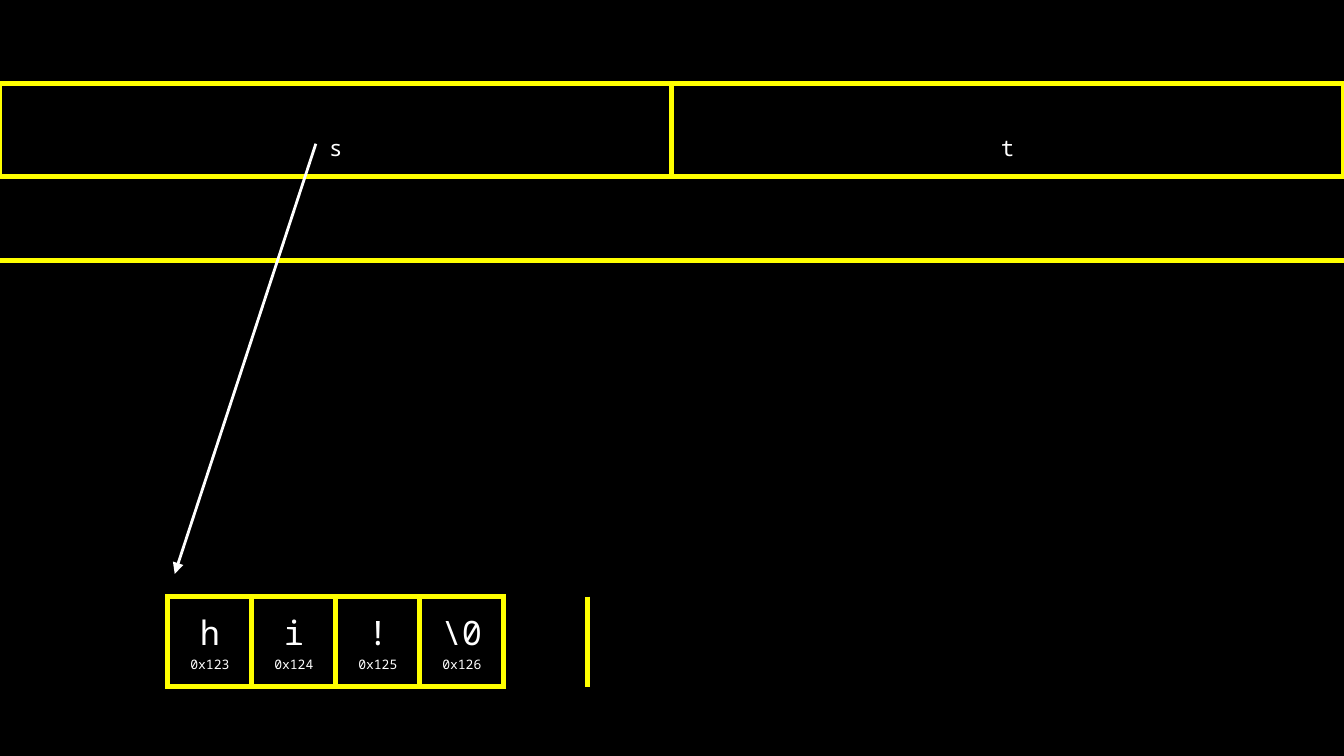
import collections

import lxml.etree
import pptx
import pptx.dml.color
import pptx.enum.shapes
import pptx.enum.text
import pptx.oxml.ns
import pptx.util

Inches, Pt = pptx.util.Inches, pptx.util.Pt
qn = pptx.oxml.ns.qn

COLORS = {"background": "000000", "frame": "FFFF00", "ink": "FFFFFF"}
FONT = "Noto Sans Mono"
COLS, ROWS = 16, 12
CELL = Inches(10 / COLS)
POINTER_ROW, STRING_ROW = 1, 7
ROW_HEIGHTS = {POINTER_ROW: Inches(0.69), STRING_ROW: Inches(0.67)}
NO_STYLE = "{2D5ABB26-0587-4C30-8999-92F81FD0307C}"


def rgb(name):
    return pptx.dml.color.RGBColor.from_string(COLORS[name])


def add_grid(s):
    """Add the plain memory grid, without style, fill or borders."""
    frame = s.shapes.add_table(ROWS, COLS, 0, 0, CELL * COLS, CELL * ROWS)
    table = frame.table
    table.first_row = table.horz_banding = False
    next(frame._element.iter(qn("a:tableStyleId"))).text = NO_STYLE
    for col in table.columns:
        col.width = CELL
    for i, row in enumerate(table.rows):
        row.height = ROW_HEIGHTS.get(i, CELL)
    for cell in table.iter_cells():
        cell.fill.background()
    return table


def write_cell(cell, lines, anchor):
    """Fill a cell with centred (text, size) lines."""
    margins = ("margin_left", "margin_right", "margin_top", "margin_bottom")
    for name in margins:
        setattr(cell, name, Inches(0.1))
    cell.vertical_anchor = anchor
    tf = cell.text_frame
    for i, (text, size) in enumerate(lines):
        p = tf.add_paragraph() if i else tf.paragraphs[0]
        p.alignment = pptx.enum.text.PP_ALIGN.CENTER
        r = p.add_run()
        r.text = text
        for name, value in {"name": FONT, "size": Pt(size)}.items():
            setattr(r.font, name, value)
        r.font.color.rgb = rgb("ink")


def mark_frame(edges, row, col, span=1):
    """Note the borders of a framed cell and the matching ones around it."""
    edges[row, col].update("LRTB")
    for c in range(col, col + span):
        edges[row - 1, c].add("B")
        edges[row + 1, c].add("T")
    if col > 0:
        edges[row, col - 1].add("R")
    if col + span < COLS:
        edges[row, col + span].add("L")


def draw_borders(cell, sides):
    tc_pr = cell._tc.get_or_add_tcPr()
    for i, side in enumerate(x for x in "LRTB" if x in sides):
        ln = lxml.etree.Element(qn("a:ln" + side), w=str(Pt(3)))
        fill = lxml.etree.SubElement(ln, qn("a:solidFill"))
        lxml.etree.SubElement(fill, qn("a:srgbClr"), val=COLORS["frame"])
        tc_pr.insert(i, ln)


def add_arrow(s, start, end):
    straight = pptx.enum.shapes.MSO_CONNECTOR.STRAIGHT
    line = s.shapes.add_connector(straight, *map(Inches, start + end))
    line.line.width = Pt(1.5)
    line.line.color.rgb = rgb("ink")
    ln = line.line._get_or_add_ln()
    lxml.etree.SubElement(ln, qn("a:tailEnd"), type="triangle")
    lxml.etree.SubElement(line._element.spPr, qn("a:effectLst"))


def main():
    prs = pptx.Presentation()
    prs.slide_width, prs.slide_height = CELL * COLS, CELL * 9
    s = prs.slides.add_slide(prs.slide_layouts[6])
    s.background.fill.solid()
    s.background.fill.fore_color.rgb = rgb("background")

    table = add_grid(s)
    edges = collections.defaultdict(set)
    anchors = pptx.enum.text.MSO_ANCHOR

    # Pointer variables, half a row each
    half = COLS // 2
    for i, name in enumerate("st"):
        cell = table.cell(POINTER_ROW, i * half)
        cell.merge(table.cell(POINTER_ROW, (i + 1) * half - 1))
        write_cell(cell, [(name, 12)], anchors.BOTTOM)
        mark_frame(edges, POINTER_ROW, i * half, half)

    # Characters of the string with their addresses
    for i, char in enumerate(["h", "i", "!", "\\0"]):
        cell = table.cell(STRING_ROW, 2 + i)
        lines = [(char, 18), (f"0x{0x123 + i:x}", 7)]
        write_cell(cell, lines, anchors.TOP)
        mark_frame(edges, STRING_ROW, 2 + i)

    for (row, col), sides in edges.items():
        draw_borders(table.cell(row, col), sides)

    # Pointer from s to the first character
    add_arrow(s, (2.35, 1.07), (1.3, 4.27))
    prs.save("out.pptx")


if __name__ == "__main__":
    main()
